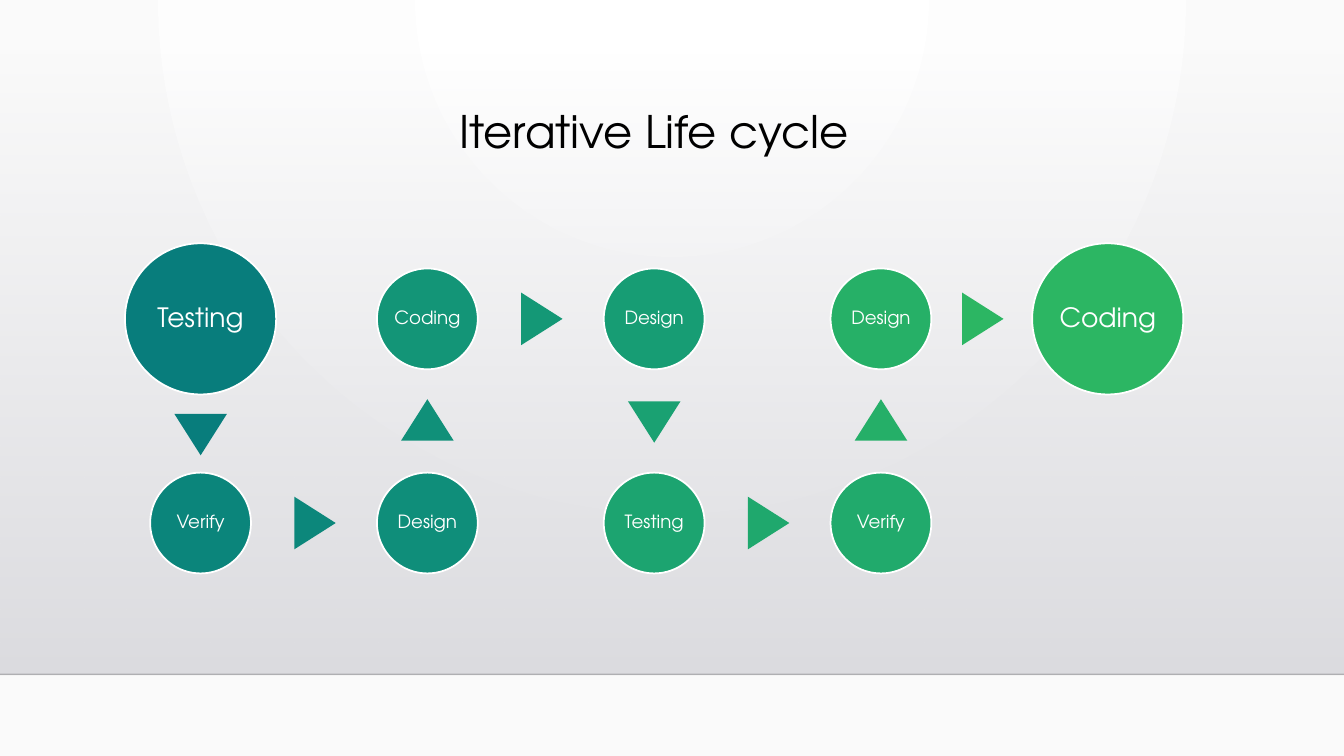
from pptx import Presentation
from pptx.dml.color import RGBColor
from pptx.enum.shapes import MSO_CONNECTOR as Connector, MSO_SHAPE as Shape
from pptx.enum.text import MSO_ANCHOR as Anchor, PP_ALIGN as Align
from pptx.oxml.ns import qn
from pptx.util import Pt
from lxml.etree import SubElement

WIDTH, HEIGHT = 960, 540
FLOOR = 481.7
FIRST_COLUMN, COLUMN_STEP = 143.3, 162
UPPER, LOWER = 227.8, 373.6
BIG, SMALL = 108, 72
ARROW_WIDTH, ARROW_HEIGHT, ARROW_SHIFT = 37.6, 29.6, 0.7

BLACK = RGBColor(0x00, 0x00, 0x00)
WHITE = RGBColor(0xFF, 0xFF, 0xFF)
PALE = RGBColor(0xFA, 0xFA, 0xFA)
WALL_TOP = RGBColor(0xDC, 0xDC, 0xE0)
WALL_BOTTOM = RGBColor(0xDE, 0xDE, 0xE2)
STEP_COLORS = [
    RGBColor(0x08, 0x7D, 0x7C), RGBColor(0x0B, 0x85, 0x7B),
    RGBColor(0x0F, 0x8E, 0x7A), RGBColor(0x13, 0x95, 0x77),
    RGBColor(0x17, 0x9D, 0x74), RGBColor(0x1C, 0xA4, 0x70),
    RGBColor(0x21, 0xAA, 0x6C), RGBColor(0x26, 0xB0, 0x67),
    RGBColor(0x2C, 0xB6, 0x63),
]
ARROW_COLORS = [
    RGBColor(0x08, 0x7D, 0x7C), RGBColor(0x0C, 0x87, 0x7B),
    RGBColor(0x10, 0x90, 0x79), RGBColor(0x14, 0x98, 0x76),
    RGBColor(0x1A, 0xA1, 0x72), RGBColor(0x1F, 0xA8, 0x6D),
    RGBColor(0x25, 0xAF, 0x68), RGBColor(0x2C, 0xB6, 0x63),
]
# label, column, row centre, diameter
STEPS = [
    ("Testing", 0, UPPER, BIG), ("Verify", 0, LOWER, SMALL),
    ("Design", 1, LOWER, SMALL), ("Coding", 1, UPPER, SMALL),
    ("Design", 2, UPPER, SMALL), ("Testing", 2, LOWER, SMALL),
    ("Verify", 3, LOWER, SMALL), ("Design", 3, UPPER, SMALL),
    ("Coding", 4, UPPER, BIG),
]


def set_alpha(element, percent):
    for color in element.iter(qn("a:srgbClr")):
        SubElement(color, qn("a:alpha"), val=str(percent * 1000))


class Slide:
    font = "TeX Gyre Adventor"

    def __init__(self, page):
        self.page = page

    def gradient(self, fill, colors):
        fill.gradient()
        for stop, color in zip(fill.gradient_stops, colors):
            stop.color.rgb = color

    def background(self):
        """Radial gradient spreading from the top centre."""
        self.gradient(self.page.background.fill, (WHITE, PALE))
        gradient = self.page.element.find(".//" + qn("a:gradFill"))
        gradient.remove(gradient.find(qn("a:lin")))
        radial = SubElement(gradient, qn("a:path"), {"path": "circle"})
        SubElement(radial, qn("a:fillToRect"), l="43000", t="0", r="43000", b="100000")

    def shape(self, kind, center_x, center_y, width, height):
        shape = self.page.shapes.add_shape(
            kind, Pt(center_x - width / 2), Pt(center_y - height / 2), Pt(width), Pt(height))
        shape.shadow.inherit = False
        shape.line.fill.background()
        return shape

    def wall(self, top):
        """Grey panel that fades in from clear at the top."""
        wall = self.shape(Shape.RECTANGLE, WIDTH / 2, (top + FLOOR) / 2, WIDTH, FLOOR - top)
        self.gradient(wall.fill, (WALL_TOP, WALL_BOTTOM))
        wall.fill.gradient_angle = 270
        set_alpha(wall.element.find(".//" + qn("a:gs")), 0)

    def floor_line(self):
        line = self.page.shapes.add_connector(
            Connector.STRAIGHT, Pt(0), Pt(FLOOR), Pt(WIDTH), Pt(FLOOR))
        line.line.color.rgb = BLACK
        line.line.width = Pt(1)
        set_alpha(line.element.spPr, 20)
        SubElement(line.element.spPr, qn("a:effectLst"))

    def label(self, box, text, size, color, **frame_format):
        for name, value in frame_format.items():
            setattr(box.text_frame, name, value)
        para = box.text_frame.paragraphs[0]
        para.alignment = Align.CENTER
        para.line_spacing = 0.9
        span = para.add_run()
        span.text = text
        for name, value in {"name": self.font, "size": Pt(size)}.items():
            setattr(span.font, name, value)
        span.font.color.rgb = color
        return para

    def title(self, text):
        box = self.page.shapes.add_textbox(Pt(89.3), Pt(74.9), Pt(756), Pt(82.8))
        self.label(box, text, 32, BLACK, word_wrap=True, vertical_anchor=Anchor.TOP)

    def step(self, text, x, y, diameter, color):
        circle = self.shape(Shape.OVAL, x, y, diameter, diameter)
        circle.fill.solid()
        circle.fill.fore_color.rgb = color
        circle.line.color.rgb = WHITE
        circle.line.width = Pt(1.25)
        size = 19 if diameter == BIG else 13
        margins = {f"margin_{side}": Pt(1.5) for side in ("left", "top", "right", "bottom")}
        para = self.label(circle, text, size, WHITE, word_wrap=False,
                          vertical_anchor=Anchor.MIDDLE, **margins)
        para.space_after = Pt(0.35 * size)

    def arrow(self, start, end, color):
        """Triangle midway between the facing edges of two circles."""
        (x1, y1, diameter1), (x2, y2, diameter2) = start, end
        along_x = (x2 > x1) - (x2 < x1)
        along_y = (y2 > y1) - (y2 < y1)
        shift = (diameter1 - diameter2) / 4 + ARROW_SHIFT
        triangle = self.shape(
            Shape.ISOSCELES_TRIANGLE, (x1 + x2) / 2 + along_x * shift,
            (y1 + y2) / 2 + along_y * shift, ARROW_WIDTH, ARROW_HEIGHT)
        triangle.rotation = 90 if along_x else 90 + 90 * along_y
        triangle.fill.solid()
        triangle.fill.fore_color.rgb = color


def main():
    deck = Presentation()
    deck.slide_width, deck.slide_height = Pt(WIDTH), Pt(HEIGHT)
    slide = Slide(deck.slides.add_slide(deck.slide_layouts[6]))
    slide.background()
    slide.wall(top=36.7)
    slide.floor_line()
    slide.title("Iterative Life cycle")

    places = [(FIRST_COLUMN + column * COLUMN_STEP, row, diameter)
              for _, column, row, diameter in STEPS]
    for (text, *_), place, color in zip(STEPS, places, STEP_COLORS):
        slide.step(text, *place, color)
    for start, end, color in zip(places, places[1:], ARROW_COLORS):
        slide.arrow(start, end, color)
    deck.save("out.pptx")


if __name__ == "__main__":
    main()
